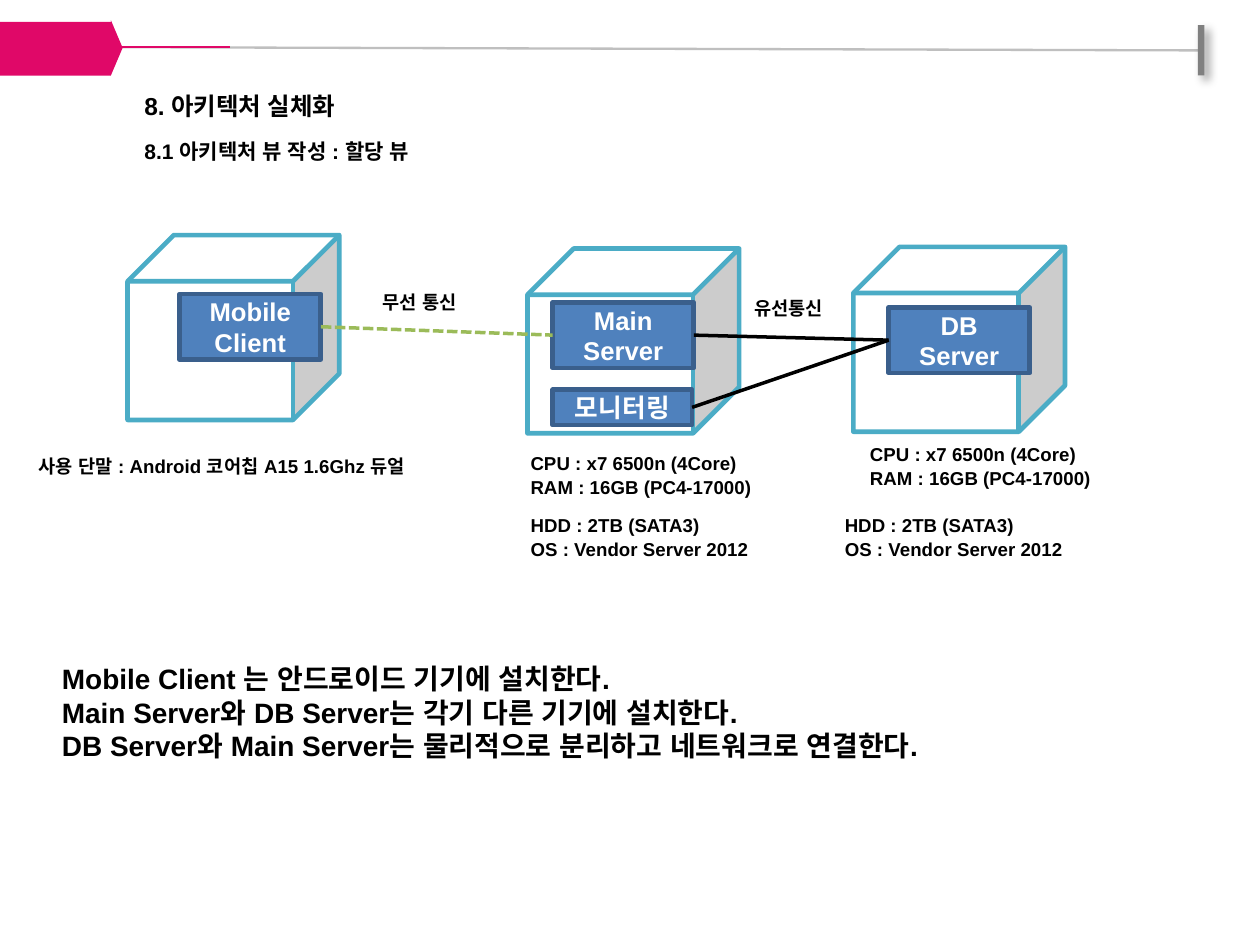
from lxml.etree import SubElement
from pptx import Presentation
from pptx.dml.color import RGBColor
from pptx.enum.dml import MSO_LINE
from pptx.enum.shapes import MSO_CONNECTOR, MSO_SHAPE
from pptx.enum.text import MSO_ANCHOR, MSO_AUTO_SIZE, PP_ALIGN
from pptx.oxml.ns import qn
from pptx.util import Inches, Pt

BLACK = RGBColor(0, 0, 0)
WHITE = RGBColor(0xFF, 0xFF, 0xFF)
PINK = RGBColor(0xE0, 0x08, 0x68)
SILVER = RGBColor(0xBF, 0xBF, 0xBF)
GRAY = RGBColor(0x80, 0x80, 0x80)
TEAL = RGBColor(0x4B, 0xAC, 0xC6)
BLUE = RGBColor(0x4F, 0x81, 0xBD)
NAVY = RGBColor(0x3A, 0x5F, 0x8C)
GREEN = RGBColor(0x9B, 0xBB, 0x59)

SLIDE_W = 7.5
SLIDE_H = SLIDE_W * 3 / 4
CUBE_W, CUBE_H = 1.26, 1.1
NODE_W, NODE_H = 0.84, 0.39
CPU_RAM = ["CPU : x7 6500n (4Core)", "RAM : 16GB (PC4-17000)"]
HDD_OS = ["HDD : 2TB (SATA3)", "OS : Vendor Server 2012"]


def add_shape(slide, kind, x, y, w, h, fill, line=None):
    sp = slide.shapes.add_shape(kind, Inches(x), Inches(y), Inches(w), Inches(h))
    sp.shadow.inherit = False
    sp.fill.solid()
    sp.fill.fore_color.rgb = fill
    if line is None:
        sp.line.fill.background()
    else:
        sp.line.color.rgb = line
        sp.line.width = Pt(2)
    return sp


def add_line(slide, x1, y1, x2, y2, color, width):
    cxn = slide.shapes.add_connector(
        MSO_CONNECTOR.STRAIGHT, Inches(x1), Inches(y1), Inches(x2), Inches(y2))
    cxn.line.color.rgb = color
    cxn.line.width = Pt(width)
    SubElement(cxn._element.spPr, qn("a:effectLst"))
    return cxn


def set_font(p, size, color=BLACK):
    """Format the runs, with Arial for Latin and East Asian text alike."""
    for r in p.runs:
        r.font.name = "Arial"
        r.font.size = Pt(size)
        r.font.bold = True
        r.font.color.rgb = color
        SubElement(r.font._element, qn("a:ea"), typeface="Arial")


def add_text(slide, x, y, w, h, lines, size=8, spacing=1.07, wrap=True):
    tf = slide.shapes.add_textbox(Inches(x), Inches(y), Inches(w), Inches(h)).text_frame
    tf.word_wrap = wrap
    tf.text = "\n".join(lines)
    for p in tf.paragraphs:
        p.line_spacing = spacing
        set_font(p, size)


def add_bar_shadow(sp):
    shadow = SubElement(sp._element.spPr.find(qn("a:effectLst")), qn("a:outerShdw"),
                        blurRad=str(Pt(4)), dist=str(Pt(3)), dir="2700000", algn="tl")
    color = SubElement(shadow, qn("a:srgbClr"), val="000000")
    SubElement(color, qn("a:alpha"), val="40000")


def header_band(slide, x, y):
    add_line(slide, x + 0.39, y + 0.15, x + 7.14, y + 0.17, SILVER, 1)
    add_bar_shadow(add_shape(slide, MSO_SHAPE.RECTANGLE, x + 7.14, y + 0.02, 0.04, 0.3, GRAY))
    add_line(slide, x + 0.69, y + 0.15, x + 1.38, y + 0.15, PINK, 1)
    tip = add_shape(slide, MSO_SHAPE.ISOSCELES_TRIANGLE, x + 0.54, y + 0.12, 0.33, 0.07, PINK)
    tip.rotation = 90
    add_shape(slide, MSO_SHAPE.RECTANGLE, x, y, 0.67, 0.32, PINK)


def headings(slide, x, y, w, h):
    title = slide.shapes.title
    title.left, title.top, title.width, title.height = map(Inches, (x, y, w, h))
    tf = title.text_frame
    tf.text = "8. 아키텍처 실체화\n8.1 아키텍처 뷰 작성 : 할당 뷰"
    tf.auto_size = MSO_AUTO_SIZE.NONE
    tf.vertical_anchor = MSO_ANCHOR.TOP
    for p, size, before in zip(tf.paragraphs, (10.5, 9), (0, 8)):
        p.alignment = PP_ALIGN.LEFT
        p.space_before = Pt(before)
        set_font(p, size)


def component(slide, x, y, w, h, name):
    sp = add_shape(slide, MSO_SHAPE.RECTANGLE, x, y, w, h, BLUE, NAVY)
    tf = sp.text_frame
    tf.word_wrap = True
    tf.vertical_anchor = MSO_ANCHOR.MIDDLE
    tf.text = name
    tf.paragraphs[0].alignment = PP_ALIGN.CENTER
    set_font(tf.paragraphs[0], 11, WHITE)
    return sp


def device(slide, x, y, name, dx, dy):
    """Draw a device cube and return the component placed dx, dy inside it."""
    add_shape(slide, MSO_SHAPE.CUBE, x, y, CUBE_W, CUBE_H, WHITE, TEAL)
    return component(slide, x + dx, y + dy, NODE_W, NODE_H, name)


def link(slide, source, target, color):
    """Join the right side of source to the left side of target."""
    cxn = add_line(slide, 0, 0, 1, 1, color, 1.5)
    cxn.begin_connect(source, 3)
    cxn.end_connect(target, 1)
    return cxn


def deployment_diagram(slide, x, y):
    mobile = device(slide, x, y, "Mobile Client", 0.31, 0.35)
    main_server = device(slide, x + 2.38, y + 0.08, "Main Server", 0.15, 0.32)
    db_server = device(slide, x + 4.32, y + 0.07, "DB Server", 0.21, 0.36)
    monitor = component(slide, x + 2.53, y + 0.92, 0.83, 0.21, "모니터링")

    link(slide, mobile, main_server, GREEN).line.dash_style = MSO_LINE.SQUARE_DOT
    for source in (main_server, monitor):
        link(slide, source, db_server, BLACK)

    for dx, dy, w, h, lines in (
        (1.42, 0.27, 1.66, 0.25, ["무선 통신"]),
        (3.63, 0.31, 1.66, 0.25, ["유선통신"]),
        (-0.63, 1.25, 2.52, 0.25, ["사용 단말 : Android 코어칩 A15 1.6Ghz 듀얼"]),
        (2.3, 1.23, 1.66, 0.39, CPU_RAM),
        (2.3, 1.6, 1.78, 0.39, HDD_OS),
        (4.32, 1.18, 1.66, 0.39, CPU_RAM),
        (4.17, 1.6, 1.78, 0.39, HDD_OS),
    ):
        add_text(slide, x + dx, y + dy, w, h, lines)


def main():
    prs = Presentation()
    prs.slide_width, prs.slide_height = Inches(SLIDE_W), Inches(SLIDE_H)
    slide = prs.slides.add_slide(prs.slide_layouts[5])
    header_band(slide, -0.01, 0.13)
    headings(slide, 0.76, 0.49, 4.82, 0.55)
    deployment_diagram(slide, 0.76, 1.4)
    add_text(slide, 0.27, 3.89, 5.68, 0.71, [
        "Mobile Client 는 안드로이드 기기에 설치한다.",
        "Main Server와 DB Server는 각기 다른 기기에 설치한다.",
        "DB Server와 Main Server는 물리적으로 분리하고 네트워크로 연결한다.",
    ], size=12, spacing=1.0, wrap=False)
    prs.save("out.pptx")


if __name__ == "__main__":
    main()
